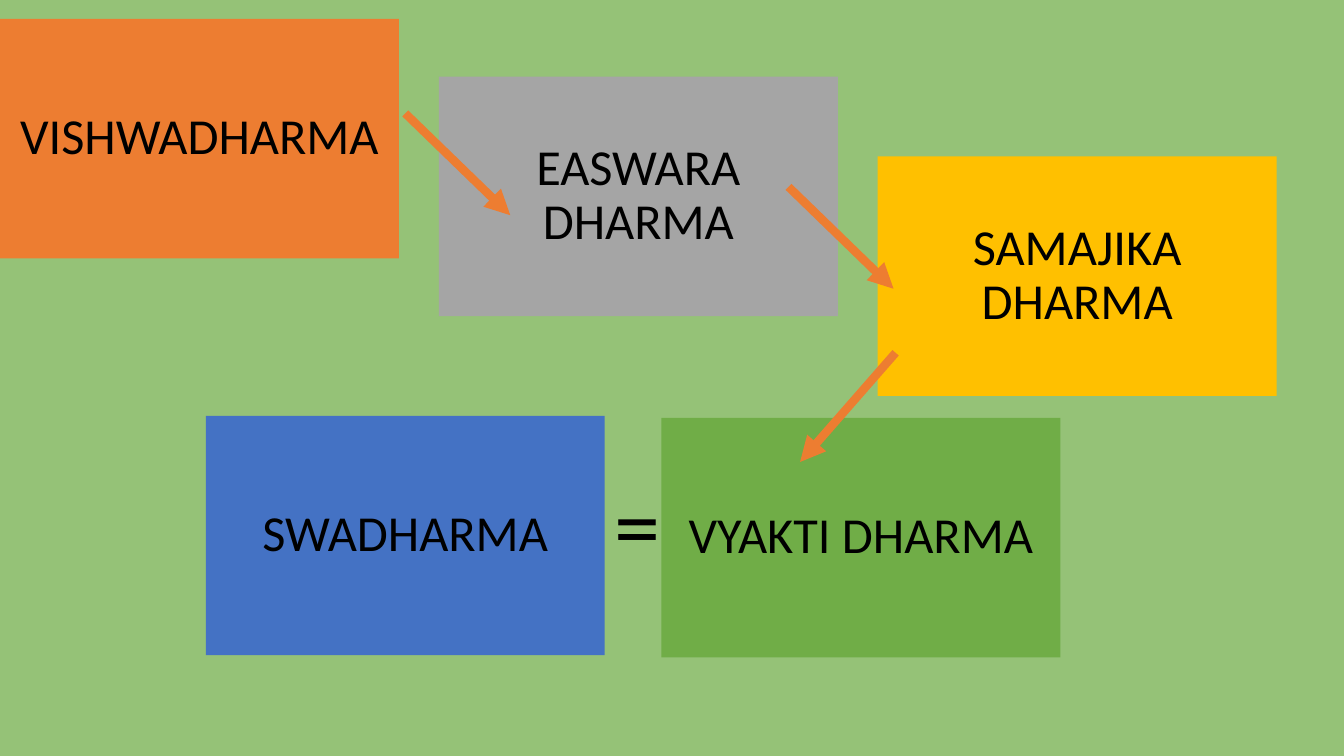
from dataclasses import dataclass

import pptx
import pptx.dml.color
import pptx.enum.dml
import pptx.enum.shapes
import pptx.enum.text
import pptx.oxml
import pptx.oxml.ns
import pptx.slide
import pptx.text.text
import pptx.util

EMU_PER_PX = 9525
BOX_WIDTH, BOX_HEIGHT, BOX_INSET = 380, 228, 14
FONT = "Calibri"
COLORS = {
    "background": "95C277",
    "orange": "ED7D31",
    "gray": "A5A5A5",
    "gold": "FFC000",
    "blue": "4472C4",
    "green": "70AD47",
    "text": "000000",
}


@dataclass(frozen=True)
class DharmaBox:
    label: str
    left: int
    top: int
    color: str


@dataclass(frozen=True)
class Arrow:
    start_x: int
    start_y: int
    end_x: int
    end_y: int


DHARMAS = [
    DharmaBox("VISHWADHARMA", 0, 18, "orange"),
    DharmaBox("EASWARA DHARMA", 418, 73, "gray"),
    DharmaBox("SAMAJIKA DHARMA", 836, 149, "gold"),
    DharmaBox("SWADHARMA", 196, 396, "blue"),
    DharmaBox("VYAKTI DHARMA", 630, 398, "green"),
]
ARROWS = [
    Arrow(386, 108, 486, 205),
    Arrow(751, 178, 851, 275),
    Arrow(853, 336, 762, 440),
]


def px(length: int) -> pptx.util.Emu:
    return pptx.util.Emu(length * EMU_PER_PX)


def color(name: str) -> pptx.dml.color.RGBColor:
    return pptx.dml.color.RGBColor.from_string(COLORS[name])


def style_font(paragraph: pptx.text.text._Paragraph, size: int) -> None:
    paragraph.font.name = FONT
    paragraph.font.size = pptx.util.Pt(size)
    paragraph.font.color.rgb = color("text")


def draw_dharma(slide: pptx.slide.Slide, dharma: DharmaBox) -> None:
    box = slide.shapes.add_shape(
        pptx.enum.shapes.MSO_SHAPE.RECTANGLE,
        px(dharma.left), px(dharma.top), px(BOX_WIDTH), px(BOX_HEIGHT),
    )
    box.shadow.inherit = False
    box.fill.solid()
    box.fill.fore_color.rgb = color(dharma.color)
    box.line.fill.background()
    frame = box.text_frame
    frame.word_wrap = True
    frame.vertical_anchor = pptx.enum.text.MSO_ANCHOR.MIDDLE
    frame.margin_left = frame.margin_right = px(BOX_INSET)
    frame.margin_top = frame.margin_bottom = px(BOX_INSET)
    label = frame.paragraphs[0]
    label.text = dharma.label
    label.alignment = pptx.enum.text.PP_ALIGN.CENTER
    label.line_spacing = 0.9
    style_font(label, 36)


def draw_arrow(slide: pptx.slide.Slide, arrow: Arrow) -> None:
    connector = slide.shapes.add_connector(
        pptx.enum.shapes.MSO_CONNECTOR.STRAIGHT,
        px(arrow.start_x), px(arrow.start_y), px(arrow.end_x), px(arrow.end_y),
    )
    connector.line.color.rgb = color("orange")
    connector.line.width = pptx.util.Pt(6)
    arrowhead = pptx.oxml.parse_xml(
        f'<a:tailEnd {pptx.oxml.ns.nsdecls("a")} type="triangle"/>'
    )
    connector.line._get_or_add_ln().append(arrowhead)
    no_shadow = pptx.oxml.parse_xml(f'<a:effectLst {pptx.oxml.ns.nsdecls("a")}/>')
    connector._element.spPr.append(no_shadow)


def draw_equals(slide: pptx.slide.Slide) -> None:
    equals = slide.shapes.add_textbox(px(576), px(440), px(63), px(116))
    frame = equals.text_frame
    frame.word_wrap = False
    frame.auto_size = pptx.enum.text.MSO_AUTO_SIZE.SHAPE_TO_FIT_TEXT
    sign = frame.paragraphs[0]
    sign.text = "="
    style_font(sign, 66)


def main() -> None:
    deck = pptx.Presentation()
    deck.slide_width, deck.slide_height = px(1280), px(720)
    slide = deck.slides.add_slide(deck.slide_layouts.get_by_name("Blank"))
    slide.background.fill.solid()
    slide.background.fill.fore_color.rgb = color("background")
    for dharma in DHARMAS:
        draw_dharma(slide, dharma)
    for arrow in ARROWS:
        draw_arrow(slide, arrow)
    draw_equals(slide)
    deck.save("out.pptx")


if __name__ == "__main__":
    main()
